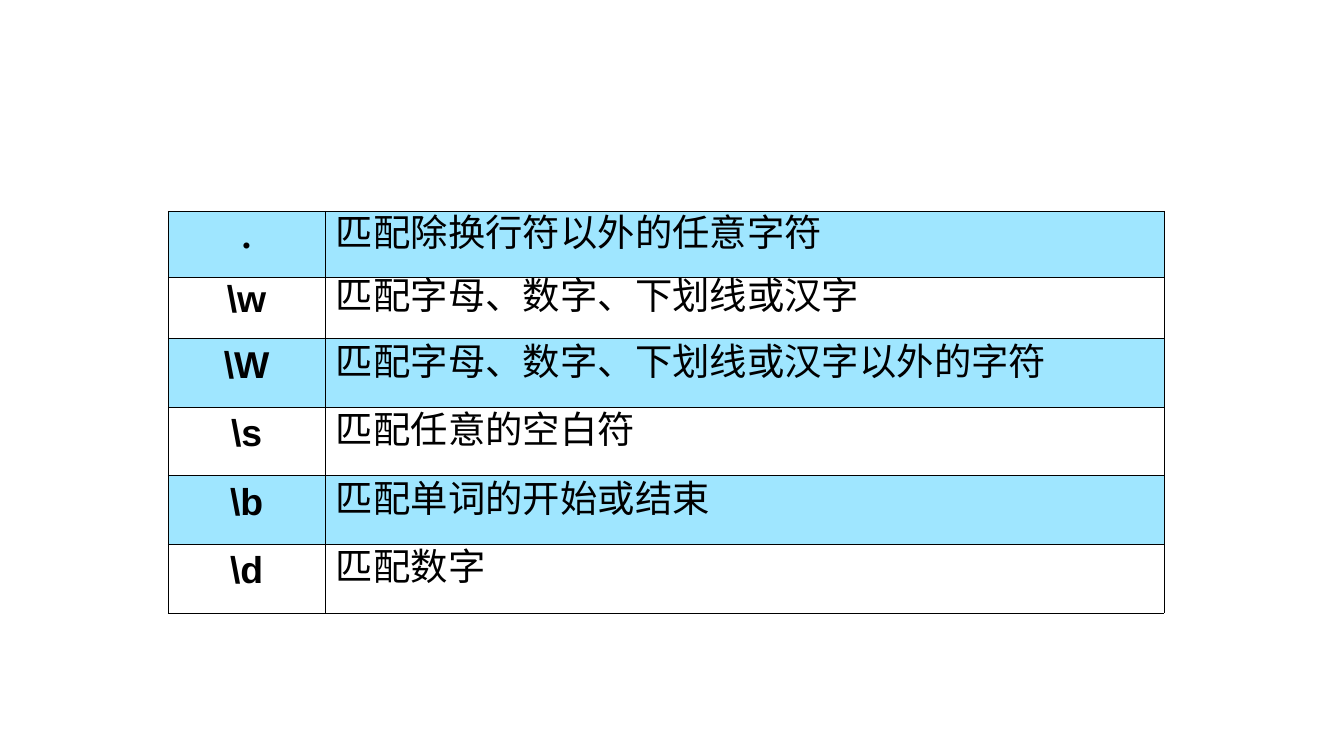
from lxml import etree
from pptx import Presentation
from pptx.dml.color import RGBColor
from pptx.enum.text import MSO_ANCHOR, PP_ALIGN
from pptx.oxml.ns import qn
from pptx.util import Pt

MIDDLE = MSO_ANCHOR.MIDDLE
CENTER = PP_ALIGN.CENTER
JUSTIFY = PP_ALIGN.JUSTIFY

BLACK = RGBColor(0x00, 0x00, 0x00)
WHITE = RGBColor(0xFF, 0xFF, 0xFF)
SKY = RGBColor(0x9F, 0xE6, 0xFF)

BLANK_LAYOUT = 6
BORDER_WIDTH = Pt(0.11)
COLUMN_SHARES = (1.17, 6.24)
ROW_SHARES = (0.49, 0.46, 0.51, 0.51, 0.51, 0.51)
PATTERNS = (
    (".", "匹配除换行符以外的任意字符"),
    ("\\w", "匹配字母、数字、下划线或汉字"),
    ("\\W", "匹配字母、数字、下划线或汉字以外的字符"),
    ("\\s", "匹配任意的空白符"),
    ("\\b", "匹配单词的开始或结束"),
    ("\\d", "匹配数字"),
)


def write_text(frame, text, font="Arial", size=20, bold=False, align=JUSTIFY, color=BLACK):
    """Write one formatted paragraph into a text frame."""
    paragraph = frame.paragraphs[0]
    paragraph.alignment = align
    paragraph.line_spacing = Pt(14)
    run = paragraph.add_run()
    run.text = text
    run.font.name = font
    run.font.size = Pt(size)
    run.font.bold = bold
    run.font.color.rgb = color


def draw_borders(cell):
    """Give a cell a thin black line on each side."""
    properties = cell._tc.get_or_add_tcPr()
    for side in ("a:lnL", "a:lnR", "a:lnT", "a:lnB"):
        line = etree.SubElement(properties, qn(side), w=str(BORDER_WIDTH))
        fill = etree.SubElement(line, qn("a:solidFill"))
        etree.SubElement(fill, qn("a:srgbClr"), val=str(BLACK))


def format_cell(cell, color):
    """Set the margins, anchor, borders and fill of a cell."""
    cell.margin_left = cell.margin_right = Pt(5.75)
    cell.margin_top = cell.margin_bottom = Pt(3.6)
    cell.vertical_anchor = MIDDLE
    draw_borders(cell)
    cell.fill.solid()
    cell.fill.fore_color.rgb = color


def add_pattern_table(slide, left, top, width, height):
    """Place the table of regular expression symbols in the given box."""
    table = slide.shapes.add_table(
        len(PATTERNS), len(COLUMN_SHARES), Pt(left), Pt(top), Pt(width), Pt(height)
    ).table
    table.first_row = False
    table.horz_banding = False
    for column, share in zip(table.columns, COLUMN_SHARES):
        column.width = Pt(width * share / sum(COLUMN_SHARES))
    for row, share in zip(table.rows, ROW_SHARES):
        row.height = Pt(height * share / sum(ROW_SHARES))
    for index, (symbol, meaning) in enumerate(PATTERNS):
        symbol_cell, meaning_cell = table.rows[index].cells
        for cell in (symbol_cell, meaning_cell):
            format_cell(cell, WHITE if index % 2 else SKY)
        symbol_font = "Times New Roman" if symbol == "." else "Arial"
        write_text(symbol_cell.text_frame, symbol, font=symbol_font, bold=True, align=CENTER)
        write_text(meaning_cell.text_frame, meaning)


def main():
    """Build and save the slide."""
    presentation = Presentation()
    presentation.slide_width = Pt(720)
    presentation.slide_height = Pt(405)
    slide = presentation.slides.add_slide(presentation.slide_layouts[BLANK_LAYOUT])
    add_pattern_table(slide, left=90, top=113, width=533.5, height=215.3)
    presentation.save("out.pptx")


if __name__ == "__main__":
    main()
